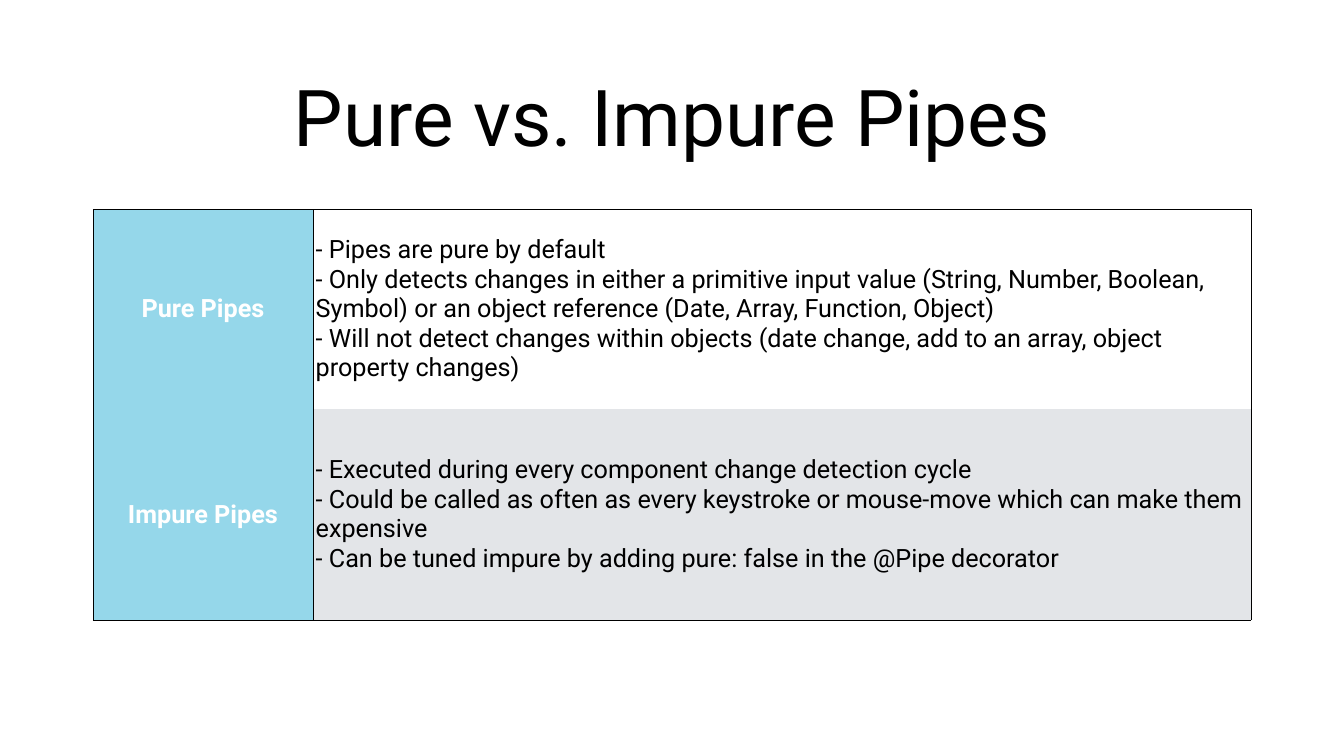
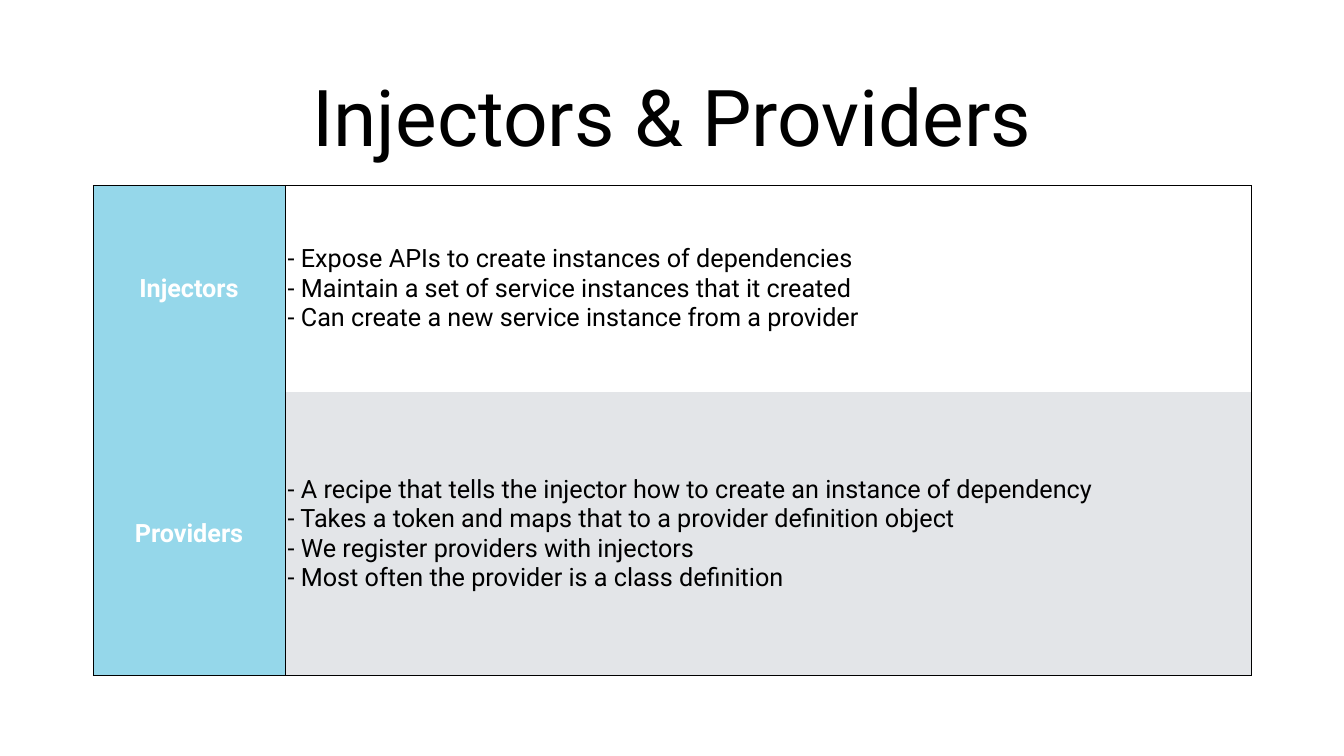
from dataclasses import dataclass

from lxml import etree
from pptx import Presentation
from pptx.dml.color import RGBColor
from pptx.enum.text import MSO_ANCHOR as Anchor, MSO_AUTO_SIZE as AutoSize, PP_ALIGN as Align
from pptx.oxml.ns import qn
from pptx.presentation import Presentation as Deck
from pptx.slide import Slide
from pptx.table import _Cell as Cell
from pptx.text.text import TextFrame
from pptx.util import Pt

# Shared style
BLACK = RGBColor(0x00, 0x00, 0x00)
WHITE = RGBColor(0xFF, 0xFF, 0xFF)
SKY = RGBColor(0x95, 0xD7, 0xEA)
GREY = RGBColor(0xE3, 0xE5, 0xE8)
ROW_FILLS = (WHITE, GREY)
FONT = "Roboto"
TITLE_SIZE, TABLE_SIZE = 112, 36

# Shared layout, in points
SLIDE_WIDTH, SLIDE_HEIGHT = 1920, 1080
LEFT, WIDTH = 133, 1654
TITLE_TOP, TITLE_HEIGHT = 75, 180
INSET = 4
TITLE_ONLY = 5
LINE_BREAK = "\v"


@dataclass(frozen=True)
class TopicRow:
    label: str
    points: tuple[str, ...]
    height: float


@dataclass(frozen=True)
class ComparisonSlide:
    title: str
    table_top: float
    label_width: float
    rows: tuple[TopicRow, ...]


COMPARISONS = (
    ComparisonSlide("Pure vs. Impure Pipes", 299, 314, (
        TopicRow("Pure Pipes", (
            "- Pipes are pure by default",
            "- Only detects changes in either a primitive input value (String, Number, "
            "Boolean, Symbol) or an object reference (Date, Array, Function, Object)",
            "- Will not detect changes within objects (date change, add to an array, "
            "object property changes)",
        ), 285),
        TopicRow("Impure Pipes", (
            "- Executed during every component change detection cycle",
            "- Could be called as often as every keystroke or mouse-move which can "
            "make them expensive",
            "- Can be tuned impure by adding pure: false in the @Pipe decorator",
        ), 302),
    )),
    ComparisonSlide("Injectors & Providers", 265, 274, (
        TopicRow("Injectors", (
            "- Expose APIs to create instances of dependencies",
            "- Maintain a set of service instances that it created",
            "- Can create a new service instance from a provider",
        ), 295),
        TopicRow("Providers", (
            "- A recipe that tells the injector how to create an instance of dependency",
            "- Takes a token and maps that to a provider definition object",
            "- We register providers with injectors",
            "- Most often the provider is a class definition",
        ), 405),
    )),
)


def format_text(text_frame: TextFrame, size: float, color: RGBColor,
                alignment: Align, bold: bool = False) -> None:
    for paragraph in text_frame.paragraphs:
        paragraph.alignment = alignment
        for run in paragraph.runs:
            run.font.name = FONT
            run.font.size = Pt(size)
            run.font.bold = bold
            run.font.color.rgb = color


def set_borders(cell: Cell, visible: str) -> None:
    """Draw a black line on the sides named in visible and none elsewhere."""
    properties = cell._tc.get_or_add_tcPr()
    for index, side in enumerate("LRTB"):
        line = etree.Element(qn(f"a:ln{side}"), w=str(Pt(1)))
        if side in visible:
            fill = etree.SubElement(line, qn("a:solidFill"))
            etree.SubElement(fill, qn("a:srgbClr"), val=str(BLACK))
        else:
            etree.SubElement(line, qn("a:noFill"))
        properties.insert(index, line)


def fill_cell(cell: Cell, text: str, fill: RGBColor, color: RGBColor,
              alignment: Align, bold: bool, borders: str) -> None:
    cell.text_frame.text = text
    format_text(cell.text_frame, TABLE_SIZE, color, alignment, bold)
    cell.vertical_anchor = Anchor.MIDDLE
    cell.margin_left = cell.margin_right = Pt(INSET)
    cell.margin_top = cell.margin_bottom = Pt(INSET)
    cell.fill.solid()
    cell.fill.fore_color.rgb = fill
    set_borders(cell, borders)


def add_title(slide: Slide, text: str) -> None:
    title = slide.shapes.title
    title.left, title.top = Pt(LEFT), Pt(TITLE_TOP)
    title.width, title.height = Pt(WIDTH), Pt(TITLE_HEIGHT)
    text_frame = title.text_frame
    text_frame.text = text
    text_frame.word_wrap = True
    text_frame.auto_size = AutoSize.NONE
    text_frame.vertical_anchor = Anchor.MIDDLE
    text_frame.margin_left = text_frame.margin_right = Pt(INSET)
    text_frame.margin_top = text_frame.margin_bottom = Pt(INSET)
    format_text(text_frame, TITLE_SIZE, BLACK, Align.CENTER)


def add_topic_table(slide: Slide, comparison: ComparisonSlide) -> None:
    rows = comparison.rows
    height = sum(row.height for row in rows)
    table = slide.shapes.add_table(len(rows), 2, Pt(LEFT), Pt(comparison.table_top),
                                   Pt(WIDTH), Pt(height)).table
    table.first_row = table.horz_banding = False
    table.first_col = True
    table.columns[0].width = Pt(comparison.label_width)
    table.columns[1].width = Pt(WIDTH - comparison.label_width)

    for index, (row, row_fill) in enumerate(zip(rows, ROW_FILLS)):
        table.rows[index].height = Pt(row.height)
        # Only the outer edges and the column divider are ruled
        borders = "LR" + "T" * (index == 0) + "B" * (index == len(rows) - 1)
        fill_cell(table.cell(index, 0), row.label, SKY, WHITE,
                  Align.CENTER, True, borders)
        fill_cell(table.cell(index, 1), LINE_BREAK.join(row.points), row_fill, BLACK,
                  Align.LEFT, False, borders)


def add_comparison(presentation: Deck, comparison: ComparisonSlide) -> None:
    slide = presentation.slides.add_slide(presentation.slide_layouts[TITLE_ONLY])
    slide.background.fill.solid()
    slide.background.fill.fore_color.rgb = WHITE
    add_title(slide, comparison.title)
    add_topic_table(slide, comparison)


def main() -> None:
    presentation = Presentation()
    presentation.slide_width = Pt(SLIDE_WIDTH)
    presentation.slide_height = Pt(SLIDE_HEIGHT)
    for comparison in COMPARISONS:
        add_comparison(presentation, comparison)
    presentation.save("out.pptx")


if __name__ == "__main__":
    main()
